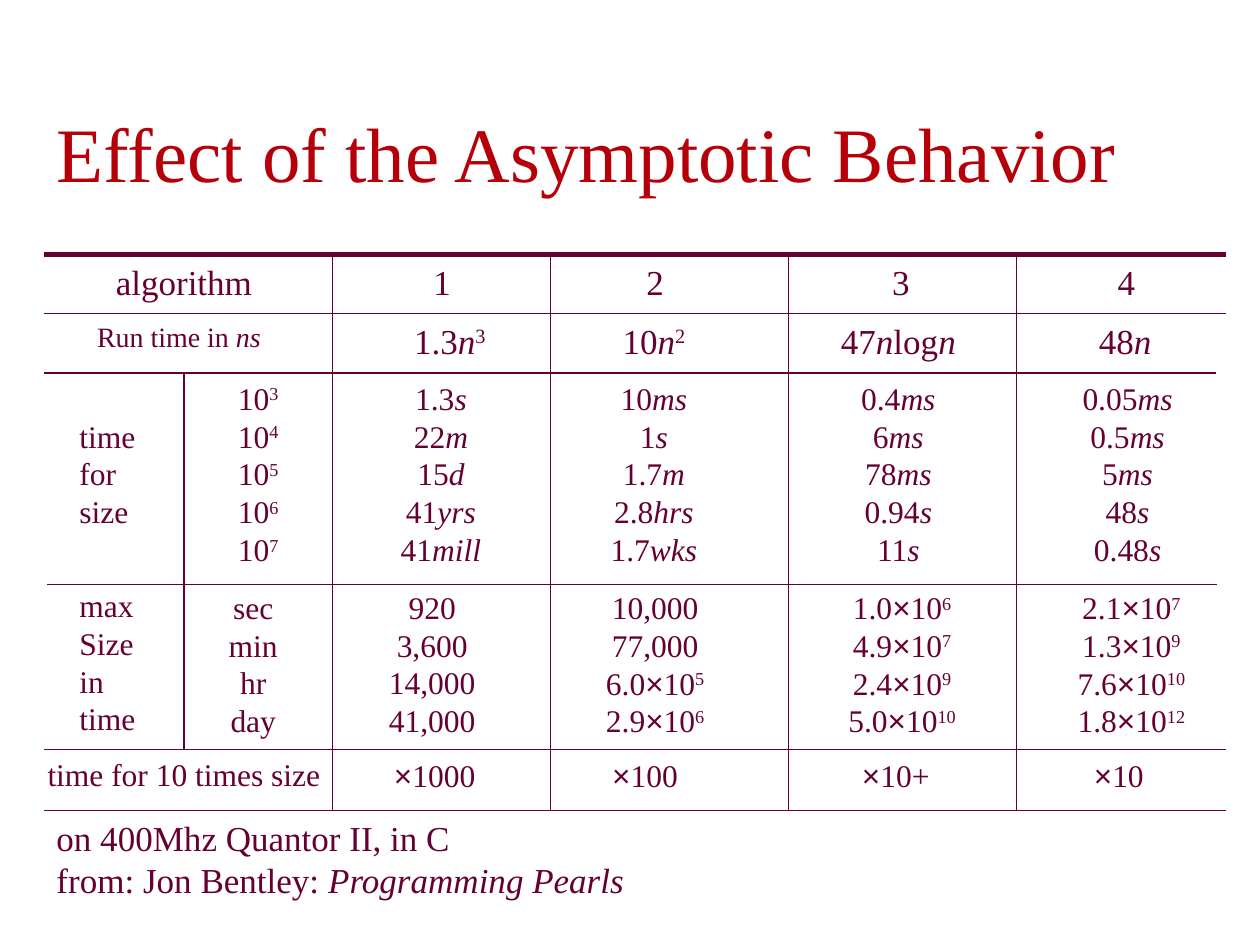
from itertools import groupby, pairwise

from lxml.etree import SubElement
from pptx import Presentation
from pptx.dml.color import RGBColor
from pptx.enum.shapes import MSO_CONNECTOR as Connector
from pptx.enum.text import MSO_ANCHOR as Anchor, PP_ALIGN as Align
from pptx.oxml.ns import qn
from pptx.util import Inches, Pt

PLUM = RGBColor(0x66, 0x00, 0x33)
RED = RGBColor(0xB6, 0x00, 0x09)
PLAIN_TABLE = "{2D5ABB26-0587-4C30-8999-92F81FD0307C}"


def write(frame, lines, size=18, color=PLUM, align=Align.CENTER, pitch=None):
    # _italic_ and ^superscript^ are marked inline
    frame.word_wrap = True
    for index, line in enumerate(lines):
        paragraph = frame.paragraphs[0] if index == 0 else frame.add_paragraph()
        paragraph.alignment = align
        paragraph.line_spacing = pitch
        for i, part in enumerate(line.split("_")):
            for j, piece in enumerate(part.split("^")):
                for is_cross, letters in groupby(piece, lambda letter: letter == "×"):
                    run = paragraph.add_run()
                    run.text = "".join(letters)
                    run.font.name = "Arial" if is_cross else "Times New Roman"
                    run.font.size = Pt(size)
                    run.font.color.rgb = color
                    run.font.italic = i % 2 == 1
                    if j % 2:
                        run.font._element.set("baseline", "30000")


prs = Presentation()
prs.slide_width, prs.slide_height = Inches(10), Inches(7.5)
slide = prs.slides.add_slide(prs.slide_layouts[6])

title = slide.shapes.add_textbox(Inches(0.35), Inches(0.79), Inches(9.45), Inches(0.83))
title.text_frame.vertical_anchor = Anchor.BOTTOM
write(title.text_frame, ["Effect of the Asymptotic Behavior"], size=44, color=RED, align=Align.LEFT)

column_edges = [0.35, 1.46, 2.64, 4.37, 6.26, 8.07, 9.73]
row_edges = [2.02, 2.49, 2.96, 4.64, 5.95, 6.43]
row_sizes = [20, 20, 18, 18, 18]
top_margins = [0.05, 0.05, 0.05, 0.03, 0.05]
text_centers = [
    [1.46, None, 3.51, 5.2, 7.15, 8.94],
    [1.42, None, 3.57, 5.19, 7.13, 8.93],
    [None, 2.05, 3.5, 5.19, 7.13, 8.95],
    [None, 2.01, 3.43, 5.2, 7.16, 8.98],
    [1.46, None, 3.45, 5.12, 7.11, 8.88],
]

content = [
    [["algorithm"], None, ["1"], ["2"], ["3"], ["4"]],
    [["Run time in _ns_"], None, ["1.3_n_^3^"], ["10_n_^2^"], ["47_n_log_n_"], ["48_n_"]],
    [
        ["time for size"],
        [f"10^{power}^" for power in range(3, 8)],
        ["1.3_s_", "22_m_", "15_d_", "41_yrs_", "41_mill_"],
        ["10_ms_", "1_s_", "1.7_m_", "2.8_hrs_", "1.7_wks_"],
        ["0.4_ms_", "6_ms_", "78_ms_", "0.94_s_", "11_s_"],
        ["0.05_ms_", "0.5_ms_", "5_ms_", "48_s_", "0.48_s_"],
    ],
    [
        ["max", "Size in time"],
        ["sec", "min", "hr", "day"],
        ["920", "3,600", "14,000", "41,000"],
        ["10,000", "77,000", "6.0×10^5^", "2.9×10^6^"],
        ["1.0×10^6^", "4.9×10^7^", "2.4×10^9^", "5.0×10^10^"],
        ["2.1×10^7^", "1.3×10^9^", "7.6×10^10^", "1.8×10^12^"],
    ],
    [["time for 10 times size"], None, ["×1000"], ["×100"], ["×10+"], ["×10"]],
]

table_frame = slide.shapes.add_table(
    len(content), len(content[0]),
    Inches(column_edges[0]), Inches(row_edges[0]),
    Inches(column_edges[-1] - column_edges[0]), Inches(row_edges[-1] - row_edges[0]),
)
table = table_frame.table
table.first_row = table.horz_banding = False
table._tbl.tblPr.find(qn("a:tableStyleId")).text = PLAIN_TABLE
for column, (left, right) in zip(table.columns, pairwise(column_edges)):
    column.width = Inches(right - left)
for row, (top, bottom) in zip(table.rows, pairwise(row_edges)):
    row.height = Inches(bottom - top)

for r, row_content in enumerate(content):
    spans_labels = row_content[1] is None
    if spans_labels:
        table.cell(r, 0).merge(table.cell(r, 1))
    for c, lines in enumerate(row_content):
        cell = table.cell(r, c)
        cell.fill.background()
        if lines is None:
            continue
        size = 16 if (r, c) == (1, 0) else row_sizes[r]
        pitch = Pt(1.2 * size)
        center = text_centers[r][c]
        if center is None:
            cell.margin_left, cell.margin_right = Inches(0.28), Inches(0.2)
            cell.margin_top, cell.margin_bottom = 0, Inches(0.08)
            cell.vertical_anchor = Anchor.MIDDLE
            write(cell.text_frame, lines, size=size, align=Align.LEFT, pitch=pitch)
            continue
        left, right = column_edges[c], column_edges[2 if c == 0 else c + 1]
        shift = 2 * center - left - right
        cell.margin_left = Inches(max(shift, 0))
        cell.margin_right = Inches(max(-shift, 0))
        cell.margin_top, cell.margin_bottom = Inches(top_margins[r]), 0
        write(cell.text_frame, lines, size=size, pitch=pitch)

row_starts = [0.35, 0.35, 0.35, 0.37, 0.35, 0.35]
row_ends = [9.73, 9.73, 9.65, 9.66, 9.73, 9.73]
rules = [(start, y, end, y) for start, y, end in zip(row_starts, row_edges, row_ends)]
rules += [(x, row_edges[0], x, row_edges[-1]) for x in column_edges[2:-1]]
rules.append((column_edges[1], row_edges[2], column_edges[1], row_edges[4]))
for index, ends in enumerate(rules):
    rule = slide.shapes.add_connector(Connector.STRAIGHT, *map(Inches, ends))
    rule.line.color.rgb = PLUM
    rule.line.width = Pt(3 if index == 0 else 0.75)
    SubElement(rule._element.spPr, qn("a:effectLst"))

footnote = slide.shapes.add_textbox(Inches(0.35), Inches(6.43), Inches(4.8), Inches(0.77))
write(
    footnote.text_frame,
    ["on 400Mhz Quantor II, in C", "from: Jon Bentley: _Programming Pearls_"],
    size=20, align=Align.LEFT,
)

prs.save("out.pptx")
